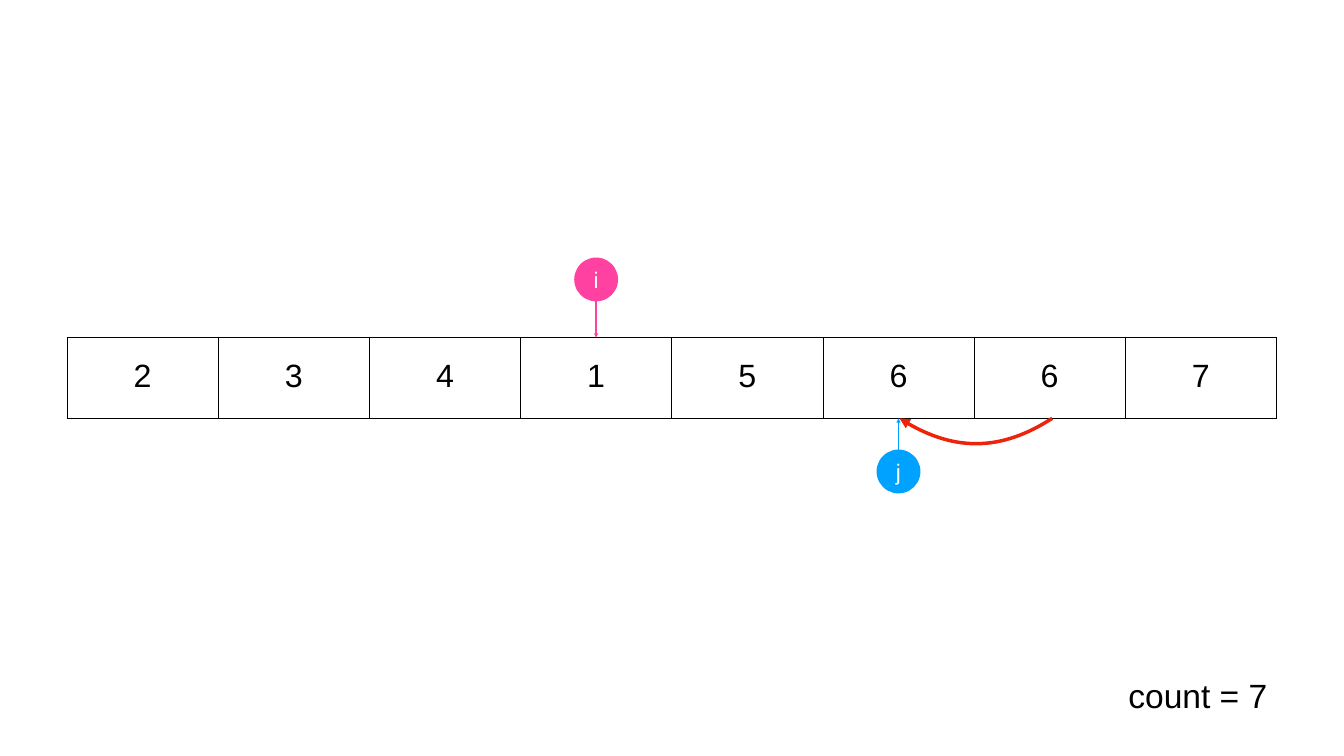
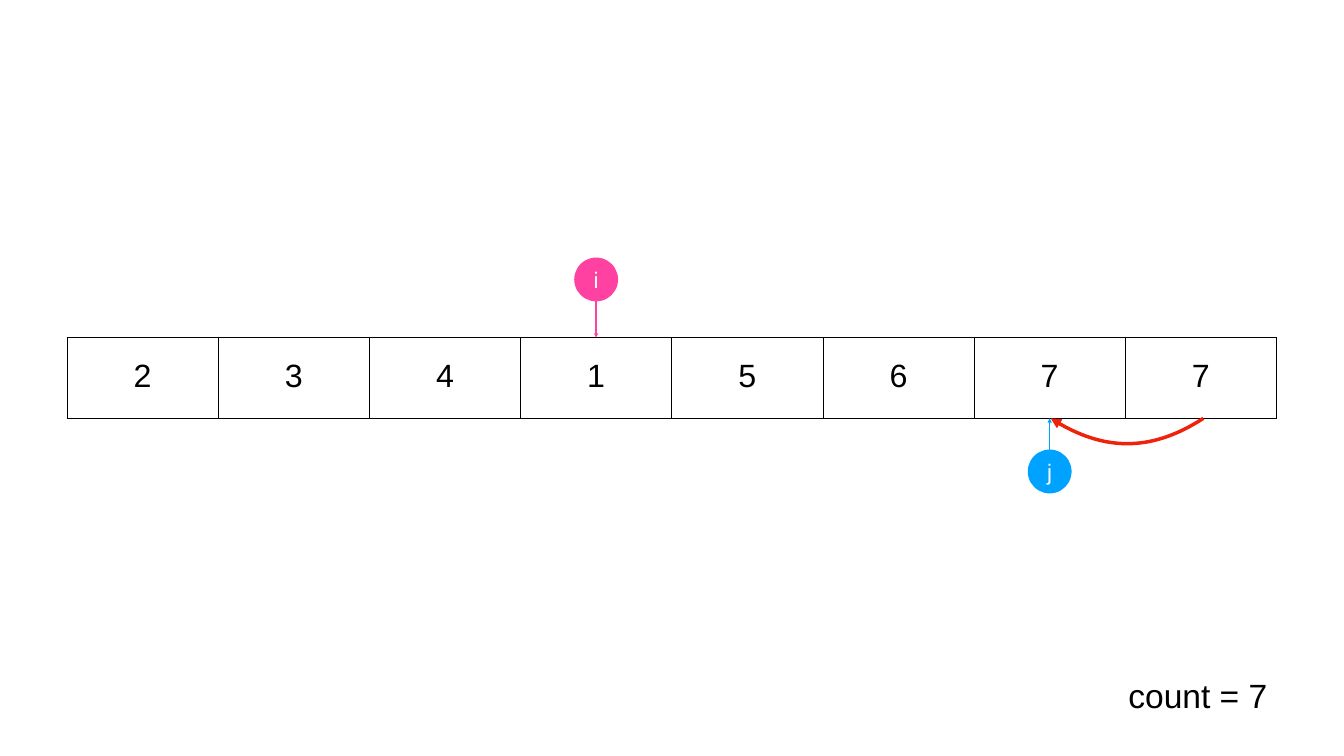
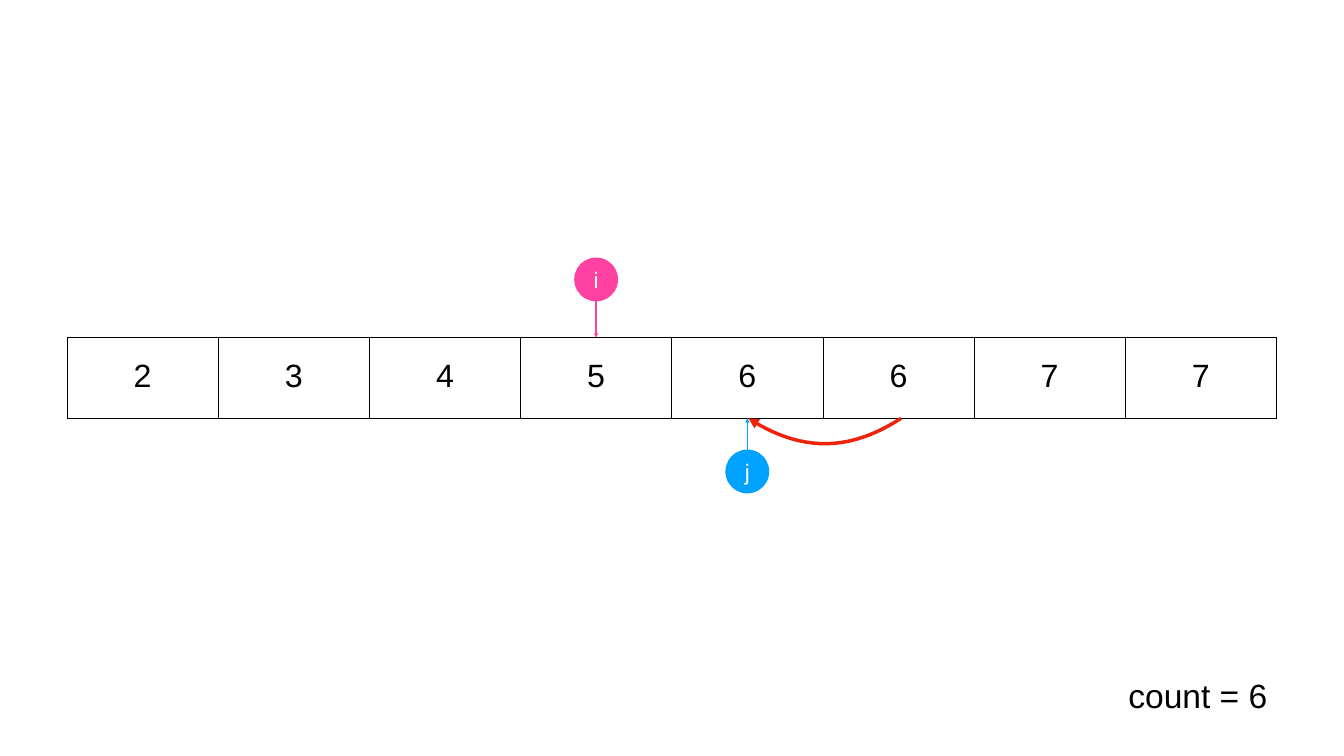
from dataclasses import dataclass

from lxml.etree import SubElement
from pptx import Presentation
from pptx.dml.color import RGBColor
from pptx.enum.shapes import MSO_CONNECTOR, MSO_SHAPE
from pptx.enum.text import MSO_ANCHOR, MSO_AUTO_SIZE, PP_ALIGN
from pptx.oxml import parse_xml
from pptx.oxml.ns import nsdecls, qn
from pptx.util import Inches, Pt

# Each step: array after the move, indexes of i and j, remaining count.
# The value at j was copied from the cell to its right.
STEPS = [
    {"values": [2, 3, 4, 1, 5, 6, 6, 7], "i": 3, "j": 5, "count": 7},
    {"values": [2, 3, 4, 1, 5, 6, 7, 7], "i": 3, "j": 6, "count": 7},
    {"values": [2, 3, 4, 5, 6, 6, 7, 7], "i": 3, "j": 4, "count": 6},
]


@dataclass(frozen=True)
class Theme:
    font: str = "Arial"
    ink: str = "000000"
    paper: str = "FFFFFF"
    i_pointer: str = "FF42A1"
    j_pointer: str = "00A2FF"
    move: str = "EE230C"
    cell_size: int = 46
    pointer_size: int = 32
    count_size: int = 48
    border_width: int = 1
    pointer_width: int = 2
    move_width: int = 5


THEME = Theme()
SLIDE_WIDTH, SLIDE_HEIGHT = 26.67, 15
ARRAY_LEFT, ARRAY_TOP, CELL_WIDTH, CELL_HEIGHT = 1.33, 6.7, 3, 1.6
ARRAY_BOTTOM = ARRAY_TOP + CELL_HEIGHT
CIRCLE = 0.87
I_TOP, J_TOP = 5.11, 8.92
INSET = 0.06
ARC_SHIFT, ARC_WIDTH, ARC_DEPTH = 0.02, 3.03, 0.49


def cell_center(index):
    return ARRAY_LEFT + (index + 0.5) * CELL_WIDTH


def write(paragraph, text, size, color):
    run = paragraph.add_run()
    run.text = text
    run.font.name = THEME.font
    run.font.size = Pt(size)
    run.font.color.rgb = RGBColor.from_string(color)


def set_insets(target):
    """Give a text frame or table cell the shared inner margins."""
    target.margin_left = target.margin_right = Inches(INSET)
    target.margin_top = target.margin_bottom = Inches(INSET)
    target.vertical_anchor = MSO_ANCHOR.MIDDLE


def style_line(shape, color, width, arrow_end):
    """Colour a line and put a triangle at its headEnd or tailEnd."""
    shape.line.color.rgb = RGBColor.from_string(color)
    shape.line.width = Pt(width)
    SubElement(shape.line._get_or_add_ln(), qn(f"a:{arrow_end}"), type="triangle")


def add_borders(cell):
    properties = cell._tc.get_or_add_tcPr()
    for position, side in enumerate(("lnL", "lnR", "lnT", "lnB")):
        properties.insert(position, parse_xml(
            f'<a:{side} {nsdecls("a")} w="{Pt(THEME.border_width)}"><a:solidFill>'
            f'<a:srgbClr val="{THEME.ink}"/></a:solidFill></a:{side}>'))


def add_array(slide, values):
    table = slide.shapes.add_table(
        1, len(values), Inches(ARRAY_LEFT), Inches(ARRAY_TOP),
        Inches(CELL_WIDTH * len(values)), Inches(CELL_HEIGHT)).table
    table.first_row = table.horz_banding = False
    for cell, value in zip(table.rows[0].cells, values):
        set_insets(cell)
        cell.fill.background()
        add_borders(cell)
        paragraph = cell.text_frame.paragraphs[0]
        paragraph.alignment = PP_ALIGN.CENTER
        paragraph.line_spacing = 0.9
        write(paragraph, str(value), THEME.cell_size, THEME.ink)


def add_pointer(slide, label, index, top, color, line_start, line_end):
    """Draw a labelled circle and its arrow to the array cell."""
    center = cell_center(index)
    circle = slide.shapes.add_shape(
        MSO_SHAPE.OVAL, Inches(center - CIRCLE / 2), Inches(top),
        Inches(CIRCLE), Inches(CIRCLE))
    circle.shadow.inherit = False
    circle.fill.solid()
    circle.fill.fore_color.rgb = RGBColor.from_string(color)
    circle.line.fill.background()
    set_insets(circle.text_frame)
    paragraph = circle.text_frame.paragraphs[0]
    paragraph.alignment = PP_ALIGN.CENTER
    write(paragraph, label, THEME.pointer_size, THEME.paper)

    arrow = slide.shapes.add_connector(
        MSO_CONNECTOR.STRAIGHT, Inches(center), Inches(line_start),
        Inches(center), Inches(line_end))
    style_line(arrow, color, THEME.pointer_width, "tailEnd")
    SubElement(arrow._element.spPr, qn("a:effectLst"))


def add_count(slide, count):
    box = slide.shapes.add_textbox(
        Inches(22.33), Inches(13.35), Inches(3.13), Inches(0.97))
    frame = box.text_frame
    set_insets(frame)
    frame.word_wrap = False
    frame.auto_size = MSO_AUTO_SIZE.SHAPE_TO_FIT_TEXT
    frame.paragraphs[0].line_spacing = 0.9
    write(frame.paragraphs[0], f"count = {count}", THEME.count_size, THEME.ink)


def add_move_arc(slide, target):
    """Curve from the cell right of target back to target."""
    left, top = Inches(cell_center(target) + ARC_SHIFT), Inches(ARRAY_BOTTOM)
    width, depth = Inches(ARC_WIDTH), Inches(ARC_DEPTH)
    builder = slide.shapes.build_freeform(left, top)
    builder.add_line_segments(
        [(left + width // 2, top + depth), (left + width, top)], close=False)
    arc = builder.convert_to_shape()

    # Replace the two straight segments by one cubic curve of the same extent.
    path = arc._element.find(".//" + qn("a:path"))
    for segment in path.findall(qn("a:lnTo")):
        path.remove(segment)
    curve = SubElement(path, qn("a:cubicBezTo"))
    control_depth = depth * 4 // 3
    for x, y in ((width // 3, control_depth), (width * 2 // 3, control_depth), (width, 0)):
        SubElement(curve, qn("a:pt"), x=str(x), y=str(y))

    arc.shadow.inherit = False
    arc.fill.background()
    style_line(arc, THEME.move, THEME.move_width, "headEnd")


def add_step(presentation, step):
    slide = presentation.slides.add_slide(presentation.slide_layouts[6])
    add_array(slide, step["values"])
    add_pointer(slide, "i", step["i"], I_TOP, THEME.i_pointer,
                I_TOP + CIRCLE, ARRAY_TOP)
    add_pointer(slide, "j", step["j"], J_TOP, THEME.j_pointer,
                J_TOP + 0.09, ARRAY_BOTTOM)
    add_count(slide, step["count"])
    add_move_arc(slide, step["j"])


def main():
    presentation = Presentation()
    presentation.slide_width = Inches(SLIDE_WIDTH)
    presentation.slide_height = Inches(SLIDE_HEIGHT)
    background = presentation.slide_master.background.fill
    background.solid()
    background.fore_color.rgb = RGBColor.from_string(THEME.paper)
    for step in STEPS:
        add_step(presentation, step)
    presentation.save("out.pptx")


if __name__ == "__main__":
    main()
